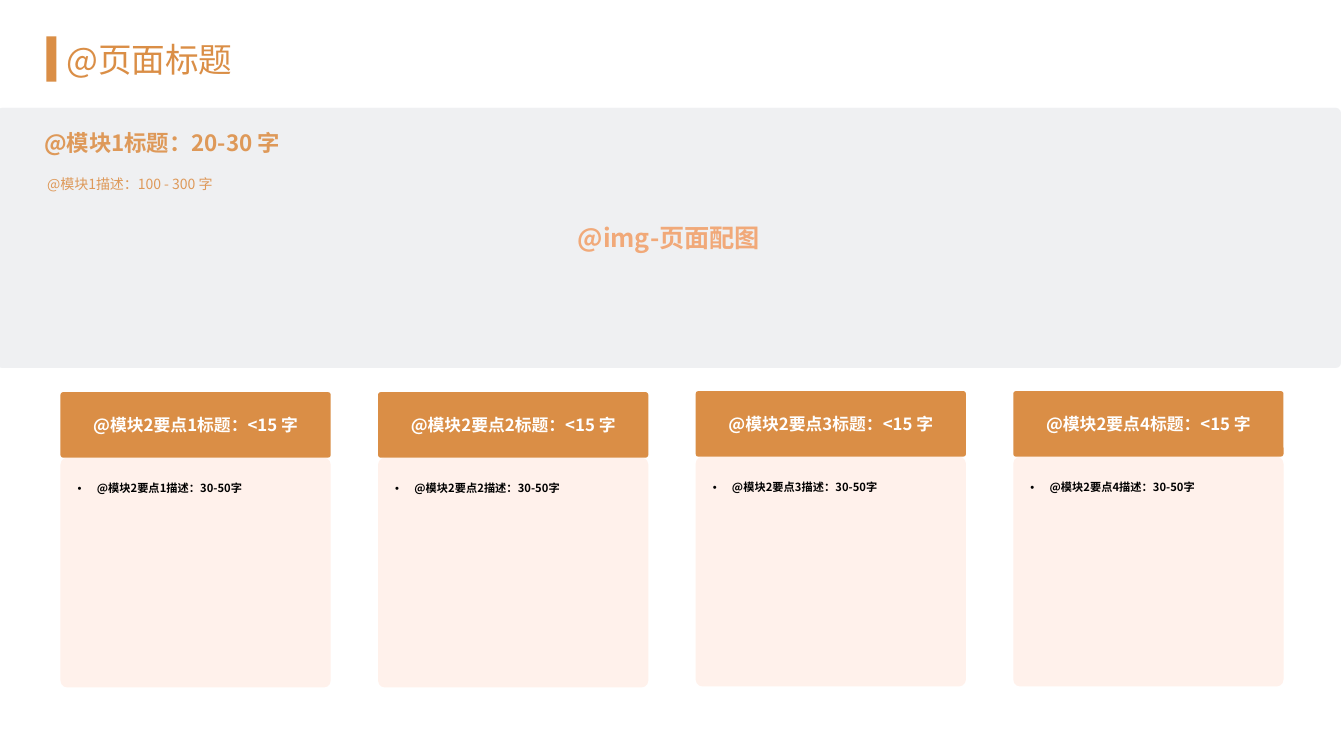
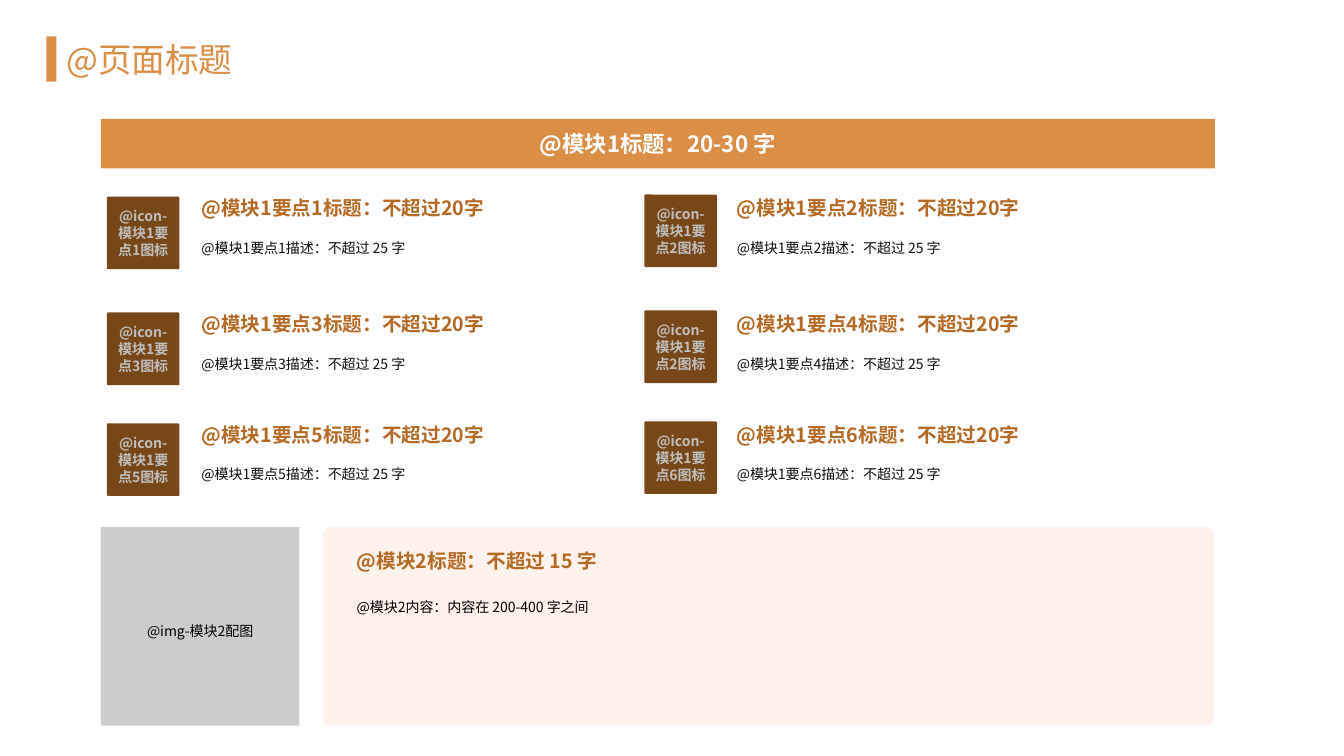
from dataclasses import dataclass

from lxml import etree
from pptx import Presentation
from pptx.dml.color import RGBColor
from pptx.enum.shapes import MSO_SHAPE
from pptx.enum.text import MSO_ANCHOR, PP_ALIGN
from pptx.oxml.ns import qn
from pptx.util import Pt

RECT = MSO_SHAPE.RECTANGLE
ROUNDED = MSO_SHAPE.ROUNDED_RECTANGLE
LEFT = PP_ALIGN.LEFT
CENTER = PP_ALIGN.CENTER
TOP = MSO_ANCHOR.TOP
MIDDLE = MSO_ANCHOR.MIDDLE
PX = 9144


@dataclass(frozen=True)
class Theme:
    font: str = "Noto Sans CJK SC"
    accent: str = "DA8E46"
    accent_soft: str = "DE9959"
    accent_dark: str = "B46A24"
    vivid: str = "F06000"
    brown: str = "784718"
    blush: str = "FFF1EB"
    band: str = "D6DCE5"
    veil: str = "F2F2F2"
    silver: str = "BFBFBF"
    white: str = "FFFFFF"
    black: str = "000000"
    ink: str = "0D0D0D"
    title: int = 24
    image: int = 18
    module: int = 16
    point: int = 14
    card: int = 12
    body: int = 10
    small: int = 8


theme = Theme()


def add_box(page, left, top, width, height, fill=None, corner=None, opacity=100):
    place = [length * PX for length in (left, top, width, height)]
    if fill is None:
        box = page.shapes.add_textbox(*place)
        box.text_frame.word_wrap = True
        return box
    box = page.shapes.add_shape(RECT if corner is None else ROUNDED, *place)
    if corner is not None:
        box.adjustments[0] = corner
    box.shadow.inherit = False
    box.line.fill.background()
    box.fill.solid()
    box.fill.fore_color.rgb = RGBColor.from_string(fill)
    if opacity < 100:
        color = box.fill._xPr.find(".//" + qn("a:srgbClr"))
        etree.SubElement(color, qn("a:alpha"), val=str(opacity * 1000))
    return box


def write(box, text, size, color, bold=False, align=LEFT, anchor=MIDDLE, spacing=None):
    box.text_frame.vertical_anchor = anchor
    para = box.text_frame.paragraphs[0]
    para.alignment = align
    if spacing:
        para.line_spacing = spacing
    span = para.add_run()
    span.text = text
    span.font.size = Pt(size)
    span.font.bold = bold
    span.font.color.rgb = RGBColor.from_string(color)
    span.font.name = theme.font
    etree.SubElement(span.font._element, qn("a:ea"), typeface=theme.font)
    return para


deck = Presentation()
deck.slide_width = 1333 * PX
deck.slide_height = 750 * PX
pages = [deck.slides.add_slide(deck.slide_layouts[6]) for _ in range(2)]
cards_page, icons_page = pages

for page in pages:
    add_box(page, 46, 36, 10, 45, theme.accent)
    title = add_box(page, 56, 28, 1222, 61)
    write(title, "@页面标题", theme.title, theme.accent)

banner = add_box(cards_page, -3, 107, 1333, 258, theme.band, 0.02, 45)
write(banner, "@img-页面配图", theme.image, theme.vivid, True, CENTER)
add_box(cards_page, -3, 107, 1333, 258, theme.veil, 0.02, 50)
module_text = add_box(cards_page, 37, 161, 703, 172)
write(module_text, "@模块1描述：100 - 300 字", theme.body, theme.accent_soft,
      anchor=TOP, spacing=1.5)
module_title = add_box(cards_page, 34, 123, 627, 36)
write(module_title, "@模块1标题：20-30 字", theme.module, theme.accent_soft, True)

for index, top in enumerate((389, 389, 388, 388)):
    number = index + 1
    left = 60 + 315 * index
    card = add_box(cards_page, left, top + 65, 268, 228, theme.blush, 0.03)
    frame = card.text_frame
    frame.margin_left = frame.margin_right = 15 * PX
    frame.margin_top = frame.margin_bottom = 15 * PX
    para = write(card, f"@模块2要点{number}描述：30-50字", theme.small, theme.black,
                 True, anchor=TOP, spacing=1.5)
    properties = para._p.get_or_add_pPr()
    properties.set("marL", str(19 * PX))
    properties.set("indent", str(-19 * PX))
    etree.SubElement(properties, qn("a:buFont"), typeface="Arial")
    etree.SubElement(properties, qn("a:buChar"), char="•")
    header = add_box(cards_page, left, top, 268, 65, theme.accent, 0.04)
    write(header, f"@模块2要点{number}标题：<15 字", theme.card, theme.white, True, CENTER)

heading = add_box(icons_page, 100, 118, 1105, 49, theme.accent)
write(heading, "@模块1标题：20-30 字", theme.module, theme.white, True, CENTER)

columns = ((106, 190, 0), (639, 721, -2))
icon_numbers = (1, 2, 3, 2, 5, 6)
for row, top in enumerate((195, 310, 420)):
    for column, (icon_left, text_left, icon_shift) in enumerate(columns):
        index = row * len(columns) + column
        number = index + 1
        icon = add_box(icons_page, icon_left, top + icon_shift, 72, 72, theme.brown, 0.02)
        write(icon, f"@icon-模块1要点{icon_numbers[index]}图标", theme.body,
              theme.silver, True, CENTER)
        point_title = add_box(icons_page, text_left, top - 7, 404, 36)
        write(point_title, f"@模块1要点{number}标题：不超过20字", theme.point,
              theme.accent_dark, True)
        point_text = add_box(icons_page, text_left, top + 29, 404, 53)
        write(point_text, f"@模块1要点{number}描述：不超过 25 字", theme.body, theme.ink,
              anchor=TOP, spacing=1.5)

image_area = add_box(icons_page, 100, 523, 197, 197, theme.black, opacity=20)
write(image_area, "@img-模块2配图", theme.body, theme.black, align=CENTER, spacing=1.5)
add_box(icons_page, 320, 523, 884, 197, theme.blush, 0.04)
panel_title = add_box(icons_page, 344, 534, 826, 45)
write(panel_title, "@模块2标题：不超过 15 字", theme.point, theme.accent_dark, True)
panel_text = add_box(icons_page, 344, 581, 840, 124)
write(panel_text, "@模块2内容：内容在 200-400 字之间", theme.body, theme.black,
      anchor=TOP, spacing=1.5)

deck.save("out.pptx")
